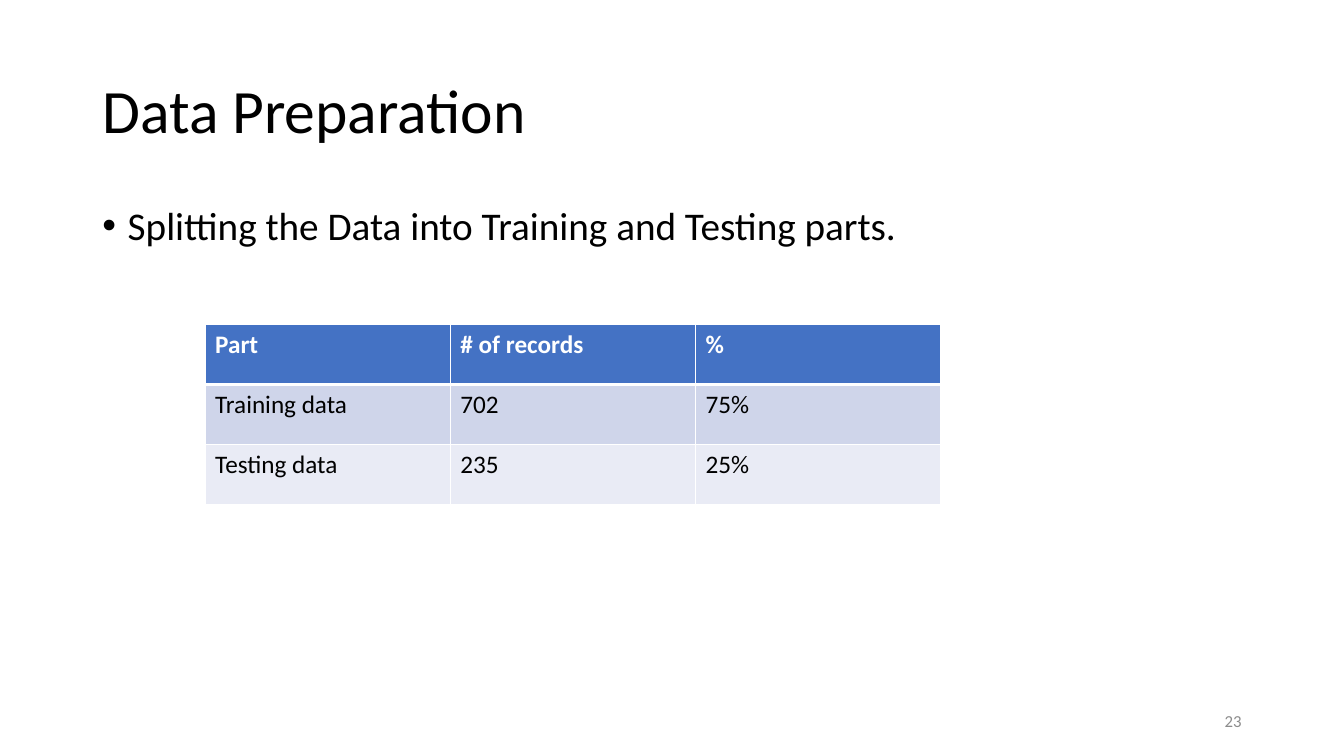
"""Build the Data Preparation slide with its table of training and testing parts."""
from lxml.etree import SubElement
from pptx import Presentation
from pptx.dml.color import RGBColor
from pptx.enum.text import MSO_ANCHOR as Anchor, PP_ALIGN as Align
from pptx.oxml.ns import qn
from pptx.util import Cm, Pt

COLORS = {
    "text": "000000",
    "white": "FFFFFF",
    "number": "8C8C8C",
    "header": "4472C4",
    "odd": "CFD5EA",
    "even": "E9EBF5",
}


def write(frame, text, size=18, color="text", bold=False, align=Align.LEFT,
          anchor=Anchor.TOP, line_spacing=1.0, space_before=0):
    """Put one formatted paragraph into a text frame and return it."""
    frame.word_wrap = True
    frame.vertical_anchor = anchor
    paragraph = frame.paragraphs[0]
    paragraph.alignment = align
    paragraph.line_spacing = line_spacing
    paragraph.space_before = Pt(space_before)
    run = paragraph.add_run()
    run.text = text
    run.font.name = "Calibri"
    run.font.size = Pt(size)
    run.font.bold = bold
    run.font.color.rgb = RGBColor.from_string(COLORS[color])
    return paragraph


def add_border(cell, side, width):
    """Draw a white line on one side of a table cell."""
    line = SubElement(cell._tc.get_or_add_tcPr(), qn(f"a:ln{side}"), w=str(Pt(width)))
    fill = SubElement(line, qn("a:solidFill"))
    SubElement(fill, qn("a:srgbClr"), val=COLORS["white"])


presentation = Presentation()
presentation.slide_width = Cm(33.87)
presentation.slide_height = Cm(19.05)
slide = presentation.slides.add_slide(presentation.slide_layouts[6])

title = slide.shapes.add_textbox(Cm(2.33), Cm(1.01), Cm(29.21), Cm(3.68))
write(title.text_frame, "Data Preparation", size=44, anchor=Anchor.MIDDLE, line_spacing=0.9)

body = slide.shapes.add_textbox(Cm(2.33), Cm(5.07), Cm(29.21), Cm(12.09))
bullet = write(body.text_frame, "Splitting the Data into Training and Testing parts.",
               size=28, line_spacing=0.9, space_before=10)
properties = bullet._p.get_or_add_pPr()
properties.set("marL", str(Cm(0.64)))
properties.set("indent", str(-Cm(0.64)))
SubElement(properties, qn("a:buFont"), typeface="Arial")
SubElement(properties, qn("a:buChar"), char="•")

number = slide.shapes.add_textbox(Cm(23.92), Cm(17.66), Cm(7.62), Cm(1.01))
write(number.text_frame, "23", size=12, color="number", align=Align.RIGHT, anchor=Anchor.MIDDLE)

rows = [
    ("header", ["Part", "# of records", "%"]),
    ("odd", ["Training data", "702", "75%"]),
    ("even", ["Testing data", "235", "25%"]),
]
table = slide.shapes.add_table(3, 3, Cm(5.17), Cm(8.18), Cm(18.54), Cm(4.53)).table
for row, (fill, texts) in enumerate(rows):
    is_header = fill == "header"
    for column, text in enumerate(texts):
        cell = table.cell(row, column)
        for side in "LRTB":
            is_thick = (side == "B" and row == 0) or (side == "T" and row == 1)
            add_border(cell, side, 3 if is_thick else 1)
        cell.fill.solid()
        cell.fill.fore_color.rgb = RGBColor.from_string(COLORS[fill])
        write(cell.text_frame, text, color="white" if is_header else "text", bold=is_header)

presentation.save("out.pptx")
